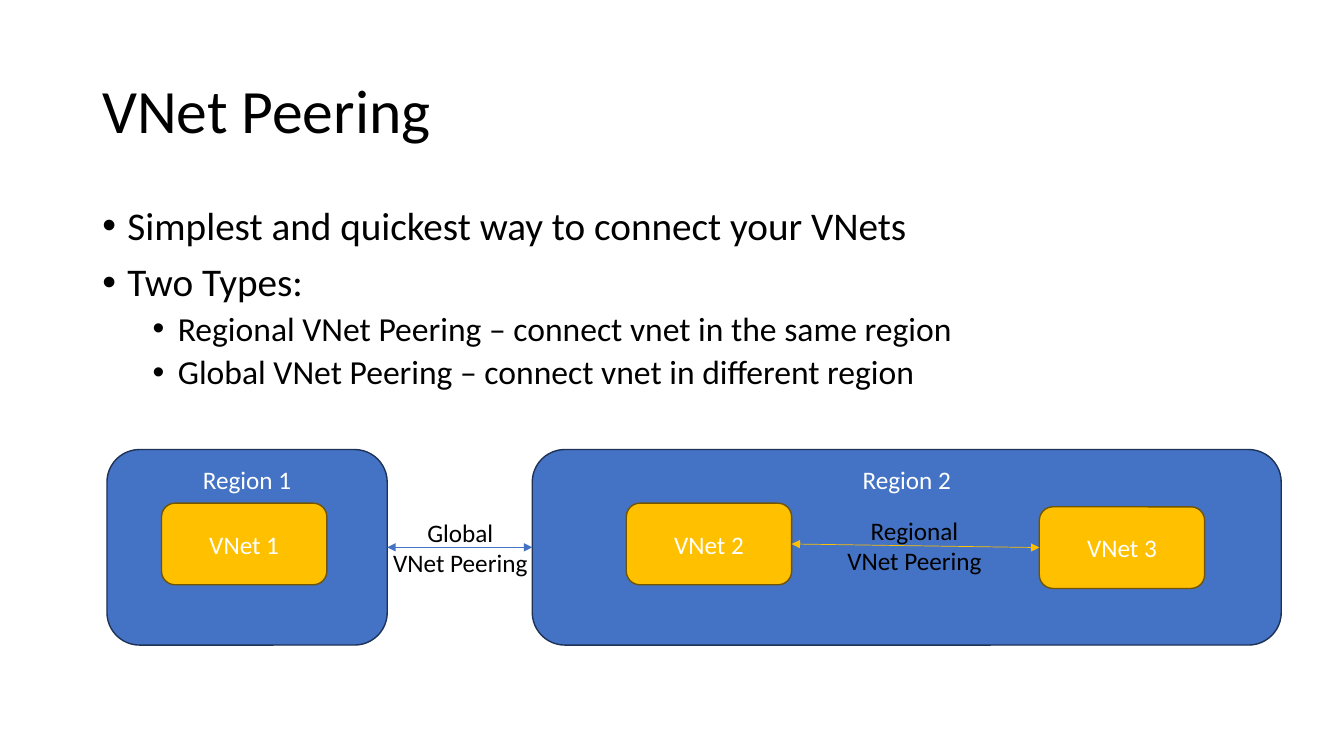
from lxml.etree import SubElement
from pptx import Presentation
from pptx.dml.color import RGBColor
from pptx.enum.shapes import MSO_CONNECTOR, MSO_SHAPE
from pptx.enum.text import MSO_ANCHOR as ANCHOR, MSO_AUTO_SIZE as AUTO, PP_ALIGN as ALIGN
from pptx.oxml.ns import qn
from pptx.util import Pt

BLACK = RGBColor(0x00, 0x00, 0x00)
WHITE = RGBColor(0xFF, 0xFF, 0xFF)
BLUE = RGBColor(0x44, 0x72, 0xC4)
NAVY = RGBColor(0x1E, 0x32, 0x56)
GOLD = RGBColor(0xFF, 0xC0, 0x00)
BROWN = RGBColor(0x70, 0x54, 0x00)

FONT = "Calibri"
REGION = {"fill": BLUE, "line": NAVY, "anchor": ANCHOR.TOP}
VNET = {"fill": GOLD, "line": BROWN, "anchor": ANCHOR.MIDDLE}
TITLE = {"line_spacing": 0.9}
LABEL = {"alignment": ALIGN.CENTER}
BULLETS = [
    {"size": 28, "indent": 18, "format": {"line_spacing": 0.9, "space_before": Pt(10)}},
    {"size": 24, "indent": 54, "format": {"line_spacing": 0.9, "space_before": Pt(5), "level": 1}},
]
HANGING = 18
POINTS = [
    (0, "Simplest and quickest way to connect your VNets"),
    (0, "Two Types:"),
    (1, "Regional VNet Peering – connect vnet in the same region"),
    (1, "Global VNet Peering – connect vnet in different region"),
]
REGION_TOP, REGION_HEIGHT = 321.1, 139.7
VNET_WIDTH, VNET_HEIGHT = 118.1, 58.3


def set_attrs(obj, values):
    """Set each named attribute on an object."""
    for name, value in values.items():
        setattr(obj, name, value)


def add_paragraph(tf, index, text, size, color, values):
    """Write one formatted paragraph, using the first one when it is empty."""
    p = tf.paragraphs[0] if index == 0 else tf.add_paragraph()
    set_attrs(p, values)
    r = p.add_run()
    r.text = text
    set_attrs(r.font, {"name": FONT, "size": Pt(size)})
    r.font.color.rgb = color
    return p


def add_bullet(p, indent):
    """Give a paragraph a round bullet with a hanging indent."""
    pPr = p._p.get_or_add_pPr()
    pPr.set("marL", str(Pt(indent)))
    pPr.set("indent", str(-Pt(HANGING)))
    SubElement(pPr, qn("a:buFont"), typeface="Arial")
    SubElement(pPr, qn("a:buChar"), char="•")


def add_text_box(s, box, **frame):
    """Add a text box and return its text frame."""
    tf = s.shapes.add_textbox(*map(Pt, box)).text_frame
    set_attrs(tf, frame)
    return tf


def add_title(s, text):
    """Add the slide title."""
    tf = add_text_box(s, (66, 28.8, 828, 104.4), word_wrap=True,
                      vertical_anchor=ANCHOR.MIDDLE)
    add_paragraph(tf, 0, text, 44, BLACK, TITLE)


def add_bullets(s, points):
    """Add the two-level bullet list."""
    tf = add_text_box(s, (66, 144, 828, 342.7), word_wrap=True)
    for i, (level, text) in enumerate(points):
        style = BULLETS[level]
        p = add_paragraph(tf, i, text, style["size"], BLACK, style["format"])
        add_bullet(p, style["indent"])


def add_box(s, text, box, style):
    """Add a rounded box with a centred name."""
    sp = s.shapes.add_shape(MSO_SHAPE.ROUNDED_RECTANGLE, *map(Pt, box))
    sp.shadow.inherit = False
    sp.fill.solid()
    sp.fill.fore_color.rgb = style["fill"]
    sp.line.color.rgb = style["line"]
    sp.line.width = Pt(1)
    tf = sp.text_frame
    set_attrs(tf, {"word_wrap": True, "vertical_anchor": style["anchor"]})
    add_paragraph(tf, 0, text, 18, WHITE, LABEL)
    return sp


def add_region(s, text, left, width):
    """Add a region box."""
    return add_box(s, text, (left, REGION_TOP, width, REGION_HEIGHT), REGION)


def add_vnet(s, text, left, top):
    """Add a virtual network box."""
    return add_box(s, text, (left, top, VNET_WIDTH, VNET_HEIGHT), VNET)


def add_peering(s, start, end, color):
    """Join the facing sides of two boxes with a double-headed arrow."""
    cx = s.shapes.add_connector(MSO_CONNECTOR.STRAIGHT, 0, 0, 0, 0)
    cx.begin_connect(start, 3)
    cx.end_connect(end, 1)
    cx.line.color.rgb = color
    cx.line.width = Pt(0.5)
    ln = cx.line._get_or_add_ln()
    for tag in ("a:headEnd", "a:tailEnd"):
        SubElement(ln, qn(tag), type="triangle")
    SubElement(cx._element.spPr, qn("a:effectLst"))


def add_label(s, lines, left, top):
    """Add a centred peering label."""
    tf = add_text_box(s, (left, top, 111.6, 51), word_wrap=False,
                      auto_size=AUTO.SHAPE_TO_FIT_TEXT)
    for i, text in enumerate(lines):
        add_paragraph(tf, i, text, 18, BLACK, LABEL)


def main():
    """Build the VNet peering slide."""
    prs = Presentation()
    set_attrs(prs, {"slide_width": Pt(960), "slide_height": Pt(540)})
    s = prs.slides.add_slide(prs.slide_layouts[6])
    add_title(s, "VNet Peering")
    add_bullets(s, POINTS)
    region1 = add_region(s, "Region 1", 76.4, 200.2)
    region2 = add_region(s, "Region 2", 380.2, 535)
    add_vnet(s, "VNet 1", 115.4, 359.4)
    vnet2 = add_vnet(s, "VNet 2", 447.4, 359.4)
    vnet3 = add_vnet(s, "VNet 3", 742.4, 362)
    add_peering(s, region1, region2, BLUE)
    add_peering(s, vnet2, vnet3, GOLD)
    add_label(s, ("Global", "VNet Peering"), 273, 365.8)
    add_label(s, ("Regional", "VNet Peering"), 597.4, 364.4)
    prs.save("out.pptx")


main()
